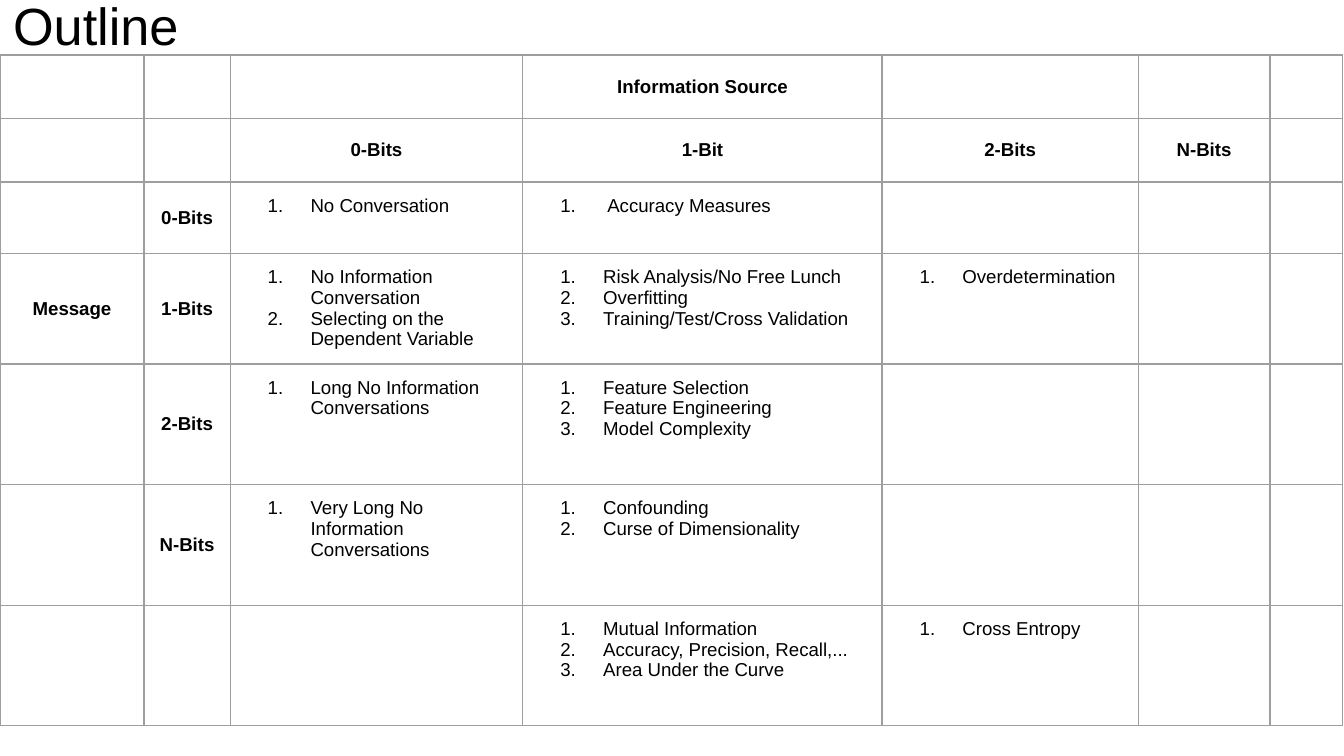
from lxml.etree import SubElement as Sub
from pptx import Presentation
from pptx.dml.color import RGBColor as RGB
from pptx.enum.text import MSO_ANCHOR as Anchor, PP_ALIGN as Align
from pptx.oxml.ns import qn
from pptx.util import Cm, Pt

HUES = {"ink": "000000", "rule": "9E9E9E"}
PAD = Cm(0.25)


def style(para, size, bold=False):
    font = para.font
    font.name, font.size, font.bold = "Arial", Pt(size), bold
    font.color.rgb = RGB.from_string(HUES["ink"])


def tint(node, hue):
    Sub(node, qn("a:srgbClr"), val=HUES[hue])


# Slide
deck = Presentation()
deck.slide_width, deck.slide_height = Cm(25.4), Cm(14.29)
slide = deck.slides.add_slide(deck.slide_layouts[6])

# Grid sizes and contents: text is a heading, a list is numbered
cols = [2.72, 1.63, 5.53, 6.79, 4.84, 2.49, 1.38]
rows = [1.2, 1.2, 1.35, 2.09, 2.28, 2.28, 2.28]
cells = {
    (0, 3): "Information Source",
    (1, 2): "0-Bits",
    (1, 3): "1-Bit",
    (1, 4): "2-Bits",
    (1, 5): "N-Bits",
    (2, 1): "0-Bits",
    (2, 2): ["No Conversation"],
    (2, 3): [" Accuracy Measures"],
    (3, 0): "Message",
    (3, 1): "1-Bits",
    (3, 2): ["No Information Conversation",
             "Selecting on the Dependent Variable"],
    (3, 3): ["Risk Analysis/No Free Lunch", "Overfitting",
             "Training/Test/Cross Validation"],
    (3, 4): ["Overdetermination"],
    (4, 1): "2-Bits",
    (4, 2): ["Long No Information Conversations"],
    (4, 3): ["Feature Selection", "Feature Engineering", "Model Complexity"],
    (5, 1): "N-Bits",
    (5, 2): ["Very Long No Information Conversations"],
    (5, 3): ["Confounding", "Curse of Dimensionality"],
    (6, 3): ["Mutual Information", "Accuracy, Precision, Recall,...",
             "Area Under the Curve"],
    (6, 4): ["Cross Entropy"],
}

# Table
frame = slide.shapes.add_table(len(rows), len(cols), 0, Cm(1.04),
                               Cm(sum(cols)), Cm(sum(rows)))
table = frame.table
table.first_row = table.horz_banding = False
for col, width in zip(table.columns, cols):
    col.width = Cm(width)
for row, height in zip(table.rows, rows):
    row.height = Cm(height)

for r in range(len(rows)):
    for c in range(len(cols)):
        cell = table.cell(r, c)
        cell.margin_left = cell.margin_right = PAD
        cell.margin_top = cell.margin_bottom = PAD

        # Borders come before the fill in the cell's XML
        props = cell._tc.get_or_add_tcPr()
        for side in ("lnL", "lnR", "lnT", "lnB"):
            line = Sub(props, qn(f"a:{side}"), w=str(Pt(0.75)))
            tint(Sub(line, qn("a:solidFill")), "rule")
        cell.fill.background()

        # Text
        text = cells.get((r, c), "")
        head = isinstance(text, str)
        cell.text = text if head else "\n".join(text)
        if head:
            cell.vertical_anchor = Anchor.MIDDLE
        for para in cell.text_frame.paragraphs:
            if head:
                para.alignment = Align.CENTER
            else:
                ppr = para._p.get_or_add_pPr()
                ppr.set("marL", str(Cm(1.27)))
                ppr.set("indent", str(-Cm(0.81)))
                tint(Sub(ppr, qn("a:buClr")), "ink")
                Sub(ppr, qn("a:buAutoNum"), type="arabicPeriod")
            style(para, 10, head)

# Title
box = slide.shapes.add_textbox(0, Cm(-0.25), Cm(8.33), Cm(1.42))
body = box.text_frame
body.word_wrap = True
body.vertical_anchor = Anchor.MIDDLE
body.margin_left = body.margin_right = PAD
body.margin_top = body.margin_bottom = PAD
body.text = "Outline"
style(body.paragraphs[0], 28)

deck.save("out.pptx")
